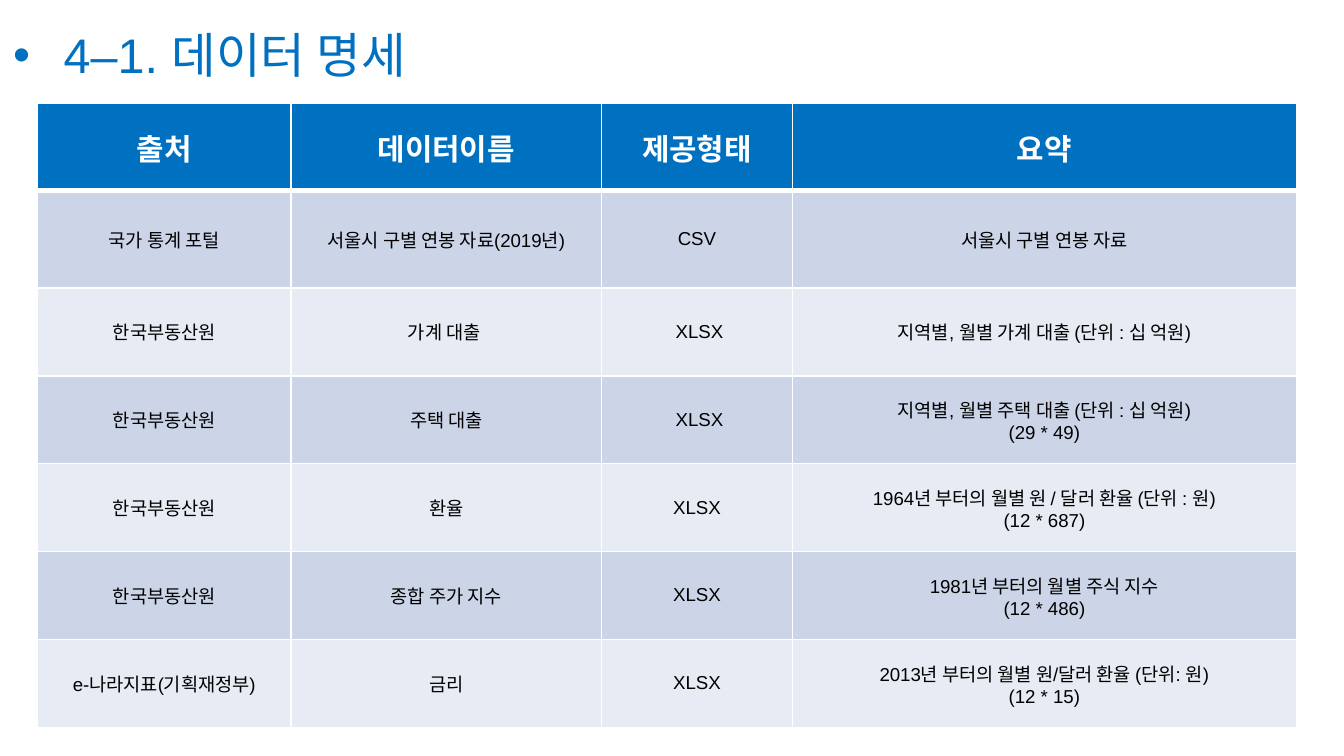
from dataclasses import dataclass

from pptx import Presentation
from pptx.dml.color import RGBColor
from pptx.enum.text import MSO_ANCHOR as Anchor, PP_ALIGN as Align
from pptx.oxml.ns import qn
from pptx.util import Pt
from lxml.etree import SubElement


@dataclass(frozen=True)
class Theme:
    font: str = "Arial"
    accent: str = "0070C0"
    white: str = "FFFFFF"
    text: str = "000000"
    bands: tuple = ("CCD5E8", "E7EBF4")
    title_size: int = 26
    header_size: int = 16
    body_size: int = 10
    line: int = 1
    header_line: int = 3


class SlideBuilder:
    def __init__(self, slide, theme):
        self.s = slide
        self.theme = theme

    def style(self, p, size, color, bold=False):
        for r in p.runs:
            r.font.name = self.theme.font
            r.font.size = Pt(size)
            r.font.bold = bold
            r.font.color.rgb = RGBColor.from_string(color)

    def bullet_title(self, text, left, top, width, height, indent):
        tf = self.s.shapes.add_textbox(Pt(left), Pt(top), Pt(width), Pt(height)).text_frame
        tf.word_wrap = True
        tf.vertical_anchor = Anchor.TOP
        tf.text = text
        p = tf.paragraphs[0]
        pPr = p._p.get_or_add_pPr()
        pPr.set("marL", str(Pt(indent)))
        pPr.set("indent", str(-Pt(indent)))
        SubElement(pPr, qn("a:buFont"), typeface=self.theme.font)
        SubElement(pPr, qn("a:buChar"), char="•")
        self.style(p, self.theme.title_size, self.theme.accent)

    def border(self, cell, side, width):
        ln = SubElement(cell._tc.get_or_add_tcPr(), qn(f"a:ln{side}"), w=str(Pt(width)))
        fill = SubElement(ln, qn("a:solidFill"))
        SubElement(fill, qn("a:srgbClr"), val=self.theme.white)

    def cell(self, cell, text, row):
        t = self.theme
        header = row == 0
        # The rule under the header is shared by the first two rows.
        widths = {
            "L": t.line,
            "R": t.line,
            "T": t.header_line if row == 1 else t.line,
            "B": t.header_line if header else t.line,
        }
        for side, width in widths.items():
            self.border(cell, side, width)
        cell.fill.solid()
        fill = t.accent if header else t.bands[(row - 1) % 2]
        cell.fill.fore_color.rgb = RGBColor.from_string(fill)
        cell.vertical_anchor = Anchor.MIDDLE
        cell.text_frame.text = text
        for p in cell.text_frame.paragraphs:
            p.alignment = Align.CENTER
            if header:
                self.style(p, t.header_size, t.white, bold=True)
            else:
                self.style(p, t.body_size, t.text)

    def table(self, rows, left, top, col_widths, row_heights):
        table = self.s.shapes.add_table(
            len(rows), len(col_widths), Pt(left), Pt(top),
            Pt(sum(col_widths)), Pt(sum(row_heights)),
        ).table
        for column, width in zip(table.columns, col_widths):
            column.width = Pt(width)
        for i, (texts, height) in enumerate(zip(rows, row_heights)):
            table.rows[i].height = Pt(height)
            for j, text in enumerate(texts):
                self.cell(table.cell(i, j), text, i)


AGENCY = "한국부동산원"
ROWS = [
    ("출처", "데이터이름", "제공형태", "요약"),
    ("국가 통계 포털", "서울시 구별 연봉 자료(2019년)", "CSV", "서울시 구별 연봉 자료"),
    (AGENCY, "가계 대출 ", " XLSX", "지역별, 월별 가계 대출 (단위 : 십 억원)"),
    (AGENCY, "주택 대출", " XLSX", "지역별, 월별 주택 대출 (단위 : 십 억원)\n(29 * 49)"),
    (AGENCY, "환율", "XLSX", "1964년 부터의 월별 원 / 달러 환율 (단위 : 원)\n(12 * 687)"),
    (AGENCY, "종합 주가 지수", "XLSX", "1981년 부터의 월별 주식 지수\n(12 * 486)"),
    ("e-나라지표(기획재정부)", "금리", "XLSX", "2013년 부터의 월별 원/달러 환율 (단위: 원)\n(12 * 15)"),
]
COL_WIDTHS = (136, 166.25, 102.25, 270)
ROW_HEIGHTS = (46.5, 52.25) + (47.1,) * 5


def main():
    prs = Presentation()
    prs.slide_width, prs.slide_height = Pt(720), Pt(405)
    page = SlideBuilder(prs.slides.add_slide(prs.slide_layouts[6]), Theme())
    page.bullet_title("4–1. 데이터 명세", 0, 10, 720, 45, indent=27)
    page.table(ROWS, 20, 55.5, COL_WIDTHS, ROW_HEIGHTS)
    prs.save("out.pptx")


if __name__ == "__main__":
    main()
